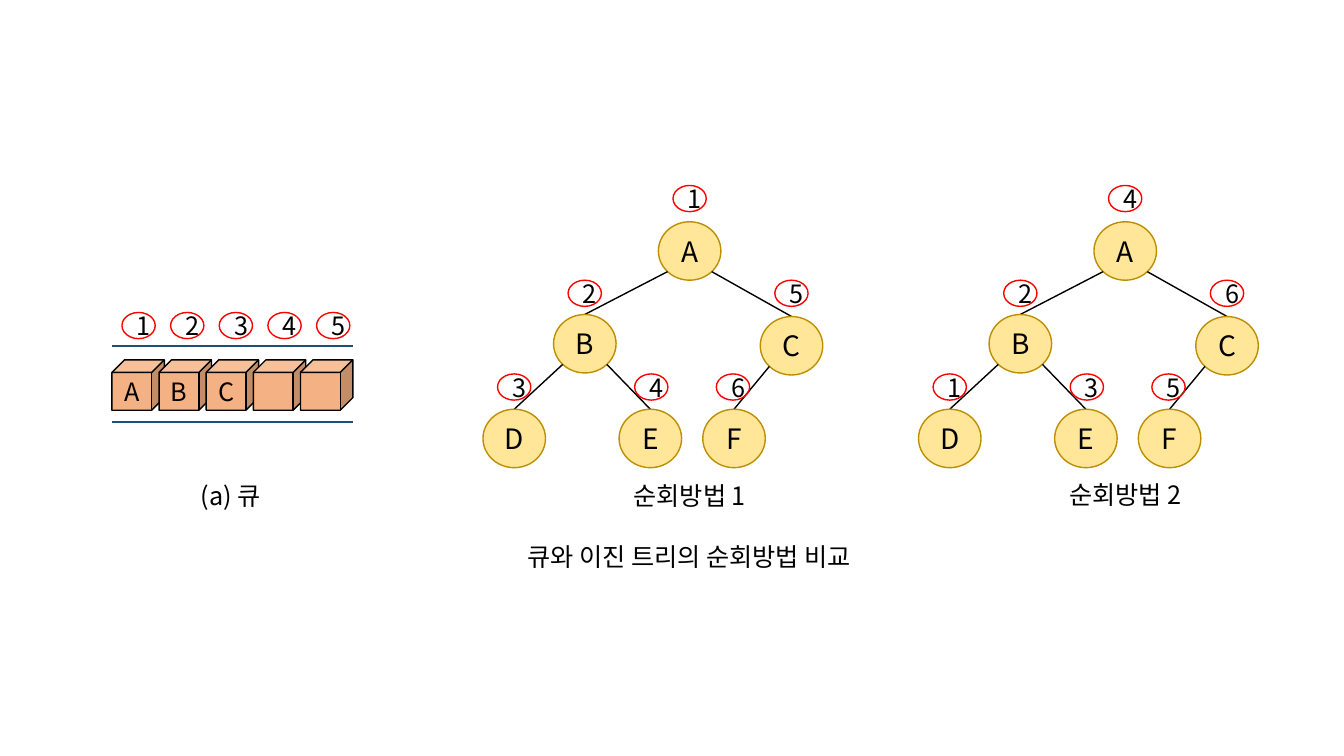
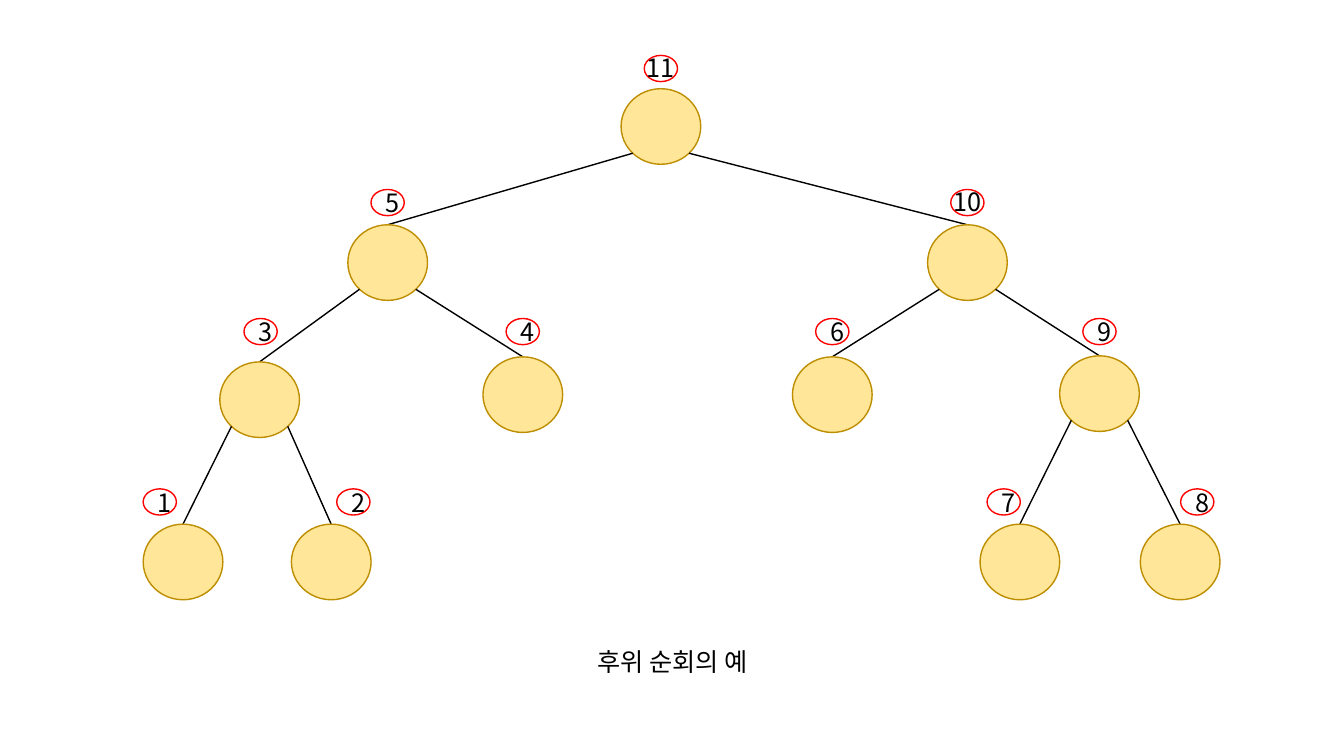
"""Build two slides that compare queue and binary tree traversal orders."""
import pptx
import pptx.util
import pptx.dml.color
import pptx.enum.shapes
import pptx.enum.text
import pptx.oxml.ns
import lxml.etree

Inches, Pt = pptx.util.Inches, pptx.util.Pt
KIND = pptx.enum.shapes.MSO_SHAPE
ALIGN = pptx.enum.text.PP_ALIGN
ANCHOR = pptx.enum.text.MSO_ANCHOR
FIT = pptx.enum.text.MSO_AUTO_SIZE
qn = pptx.oxml.ns.qn

FONT = "Noto Sans CJK KR"
COLORS = {"ink": "000000", "node": "FFE699", "rim": "BD8E00",
          "mark": "FF0000", "cube": "F4B183", "rail": "1F4E79"}
LOOKS = {"node": ("node", "rim"), "mark": (None, "mark"), "cube": ("cube", "ink")}
FRAME = {"word_wrap": True, "vertical_anchor": ANCHOR.TOP, "auto_size": FIT.SHAPE_TO_FIT_TEXT,
         "margin_left": Inches(0.1), "margin_right": Inches(0.1),
         "margin_top": Inches(0.05), "margin_bottom": Inches(0.05)}
MARK = (0.33, 0.26)

QUEUE = ["A", "B", "C", "", ""]
SMALL = {
    "size": (0.62, 0.58), "marks": [1.84, 2.78, 3.71],
    "nodes": {"A": (6.53, 2.2, None, 0), "B": (5.49, 3.12, "A", 0),
              "C": (7.54, 3.14, "A", 0), "D": (4.79, 4.06, "B", 0),
              "E": (6.14, 4.06, "B", 0.01), "F": (6.97, 4.06, "C", -0.01)}}
LARGE = {
    "size": (0.79, 0.75), "marks": [0.55, 1.88, 3.16, 4.85],
    "nodes": {11: (6.16, 0.88, None, 0), 5: (3.45, 2.23, 11, 0),
              10: (9.2, 2.23, 11, 0), 3: (2.18, 3.59, 5, 0.01),
              4: (4.79, 3.54, 5, 0), 6: (7.86, 3.54, 10, 0),
              9: (10.51, 3.53, 10, 0), 1: (1.42, 5.2, 3, -0.23),
              2: (2.89, 5.2, 3, 0.22), 7: (9.72, 5.2, 9, -0.16),
              8: (11.31, 5.2, 9, 0.17)}}
WALKS = [(0, "순회방법 1", 4.72, dict(zip("ABCDEF", [1, 2, 5, 3, 4, 6]))),
         (4.32, "순회방법 2", 4.71, dict(zip("ABCDEF", [4, 2, 6, 1, 3, 5])))]
TITLES = [("큐와 이진 트리의 순회방법 비교", (3.81, 5.32, 6.05, 0.4)),
          ("후위 순회의 예", (3.7, 6.36, 5.94, 0.4))]


def tint(name):
    return pptx.dml.color.RGBColor.from_string(COLORS[name])


def write(frame, text, size=18):
    para = frame.paragraphs[0]
    para.alignment = ALIGN.CENTER
    run = para.add_run()
    run.text = str(text)
    for key, value in {"size": Pt(size), "name": FONT, "bold": False}.items():
        setattr(run.font, key, value)
    run.font.color.rgb = tint("ink")
    props = run.font._element
    lxml.etree.SubElement(props, qn("a:ea")).set("typeface", FONT)


def label(box, text):
    for key, value in FRAME.items():
        setattr(box.text_frame, key, value)
    write(box.text_frame, text)


def note(slide, text, area):
    label(slide.shapes.add_textbox(*map(Inches, area)), text)


def shape(slide, kind, look, area, text="", size=18):
    item = slide.shapes.add_shape(kind, *map(Inches, area))
    item.shadow.inherit = False
    fill, line = LOOKS[look]
    if fill:
        item.fill.solid()
        item.fill.fore_color.rgb = tint(fill)
    else:
        item.fill.background()
    item.line.color.rgb = tint(line)
    item.line.width = Pt(1)
    if text:
        write(item.text_frame, text, size)


def line(slide, start, end, color="ink", width=1):
    item = slide.shapes.add_connector(
        pptx.enum.shapes.MSO_CONNECTOR.STRAIGHT, *map(Inches, start + end))
    item.line.color.rgb = tint(color)
    item.line.width = Pt(width)
    lxml.etree.SubElement(item._element.spPr, qn("a:effectLst"))


def mark(slide, x, y, text):
    wide = len(str(text)) > 1
    shape(slide, KIND.FLOWCHART_CONNECTOR, "mark", (x, y, *MARK), "" if wide else text)
    if wide:
        note(slide, text, (x + MARK[0] / 2 - 0.39, y - 0.08, 0.78, 0.4))


def tree(slide, plan, order, shift=0, named=False):
    wide, high = plan["size"]
    nodes = plan["nodes"]
    depth = {}
    for key, (x, y, root, nudge) in nodes.items():
        depth[key] = 0 if root is None else depth[root] + 1
        x += shift
        if root is not None:
            left, top = nodes[root][:2]
            side = 1 if nodes[key][0] > left else -1
            reach = 0.5 ** 0.5 / 2
            start = (left + shift + wide * (0.5 + side * reach), top + high * (0.5 + reach))
            line(slide, start, (x + wide / 2, y))
        shape(slide, KIND.FLOWCHART_CONNECTOR, "node", (x, y, wide, high),
              key if named else "", 20)
    for key, (x, y, root, nudge) in nodes.items():
        mark(slide, x + shift + (wide - MARK[0]) / 2 + nudge,
             plan["marks"][depth[key]], order[key])


def queue(slide):
    for y in (3.43, 4.19):
        line(slide, (1.11, y), (3.5, y), "rail", 1.5)
    for i, text in enumerate(QUEUE):
        shape(slide, KIND.CUBE, "cube", (1.11 + i * 0.4675, 3.57, 0.52, 0.5), text)
        mark(slide, 1.21 + i * 0.4825, 3.1, i + 1)
    note(slide, "(a) 큐", (1.05, 4.72, 2.48, 0.4))


def page(deck, text, area):
    slide = deck.slides.add_slide(deck.slide_layouts[5])
    title = slide.shapes.title
    for key, value in zip(("left", "top", "width", "height"), area):
        setattr(title, key, Inches(value))
    label(title, text)
    return slide


deck = pptx.Presentation()
deck.slide_width, deck.slide_height = Inches(13.33), Inches(7.5)
first, second = [page(deck, *title) for title in TITLES]
for shift, text, top, order in WALKS:
    tree(first, SMALL, order, shift, True)
    note(first, text, (5.6 + shift, top, 2.48, 0.4))
queue(first)
tree(second, LARGE, {key: key for key in LARGE["nodes"]})
deck.save("out.pptx")
